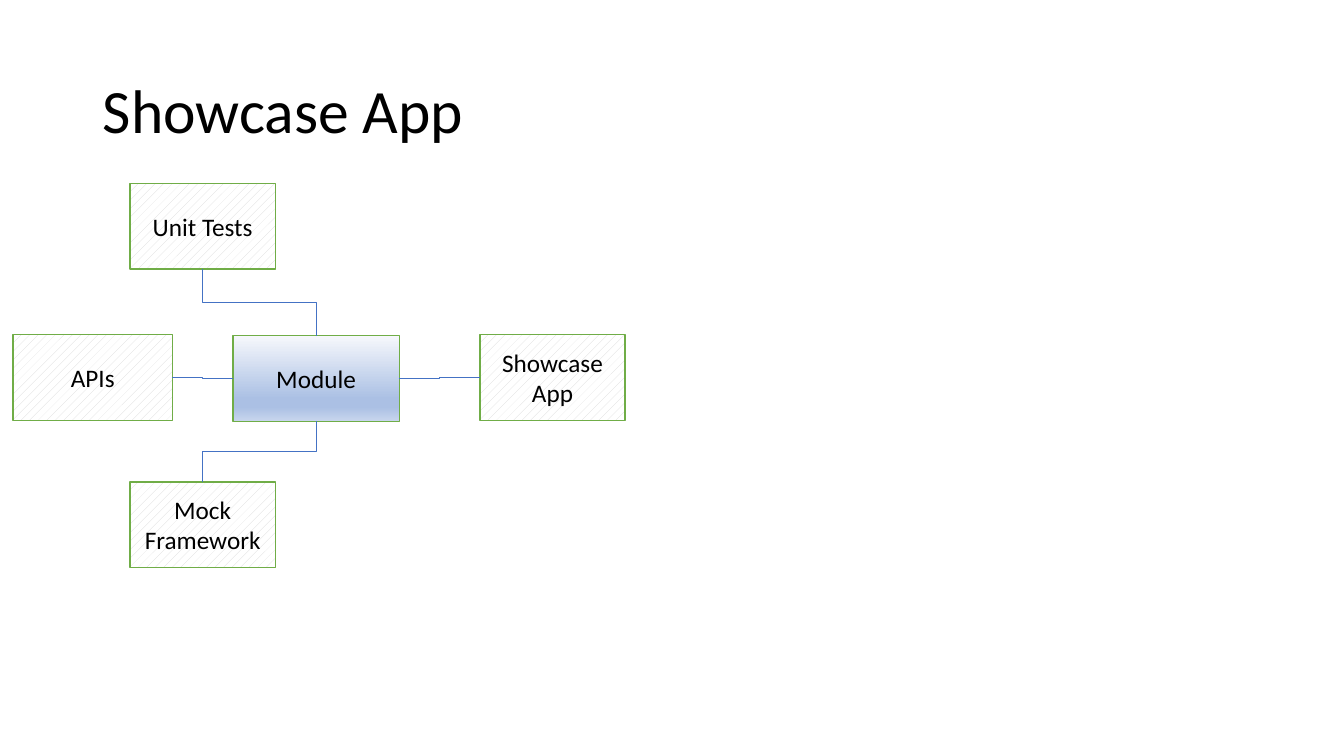
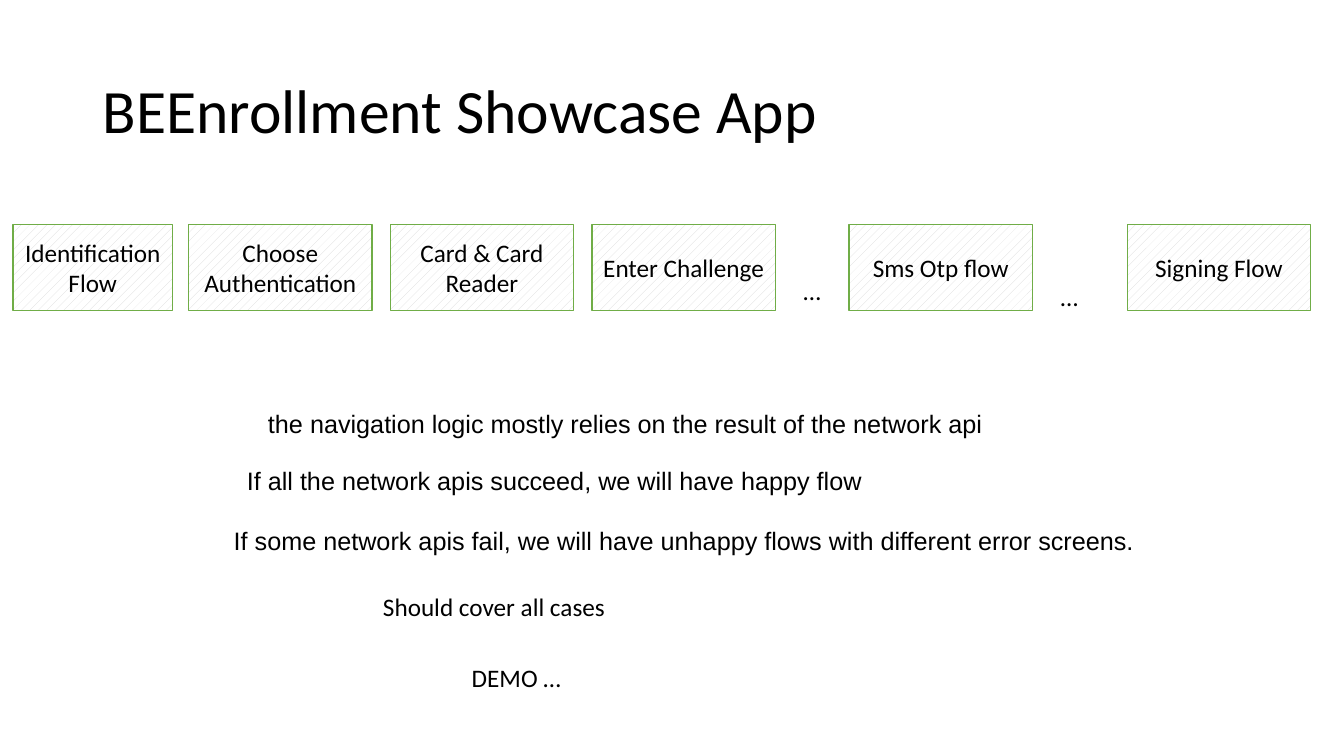
from dataclasses import dataclass

from lxml import etree
from pptx import Presentation
from pptx.dml.color import RGBColor
from pptx.enum.dml import MSO_PATTERN
from pptx.enum.shapes import MSO_CONNECTOR, MSO_SHAPE
from pptx.enum.text import MSO_ANCHOR, MSO_AUTO_SIZE, PP_ALIGN
from pptx.oxml.ns import qn
from pptx.presentation import Presentation as Deck
from pptx.shapes.autoshape import Shape
from pptx.slide import Slide
from pptx.text.text import TextFrame
from pptx.util import Emu, Pt

RECTANGLE = MSO_SHAPE.RECTANGLE
ELBOW = MSO_CONNECTOR.ELBOW
DOTTED = MSO_PATTERN.PERCENT_20
MIDDLE, TOP_ANCHOR = MSO_ANCHOR.MIDDLE, MSO_ANCHOR.TOP
LEFT_ALIGN, CENTER_ALIGN = PP_ALIGN.LEFT, PP_ALIGN.CENTER
NO_FIT, GROW = MSO_AUTO_SIZE.NONE, MSO_AUTO_SIZE.SHAPE_TO_FIT_TEXT
TOP, LEFT, BOTTOM, RIGHT = range(4)

EMU_PER_PX = 9144
TITLE_ONLY = 5
BODY_FONT, NOTE_FONT = "Calibri", "Arial"
BLACK, WHITE, GRAY = "000000", "FFFFFF", "D9D9D9"
GREEN, BLUE = "70AD47", "4472C4"
MODULE_STOPS = ((0, "F6F8FC"), (74, "ABC0E4"), (83, "ABC0E4"), (100, "C7D5ED"))
BOX_HEIGHT = 85
FLOW_TOP, FLOW_WIDTH, FLOW_GAP = 223, 182, 18
FLOW_LEFT = 187
FLOW_STEP = FLOW_WIDTH + FLOW_GAP


@dataclass(frozen=True)
class Box:
    text: str
    left: int
    top: int
    width: int
    gradient: bool = False


@dataclass(frozen=True)
class Link:
    start: str
    start_site: int
    end: str
    end_site: int


@dataclass(frozen=True)
class Note:
    text: str
    left: int
    top: int
    width: int
    font: str = BODY_FONT


MODULE_BOXES = (
    Box("Module", 231, 333, 165, gradient=True),
    Box("APIs", 13, 332, 158),
    Box("Unit Tests", 129, 182, 144),
    Box("Mock Framework", 129, 478, 144),
    Box("Showcase App", 476, 332, 144),
)
MODULE_LINKS = (
    Link("APIs", RIGHT, "Module", LEFT),
    Link("Module", TOP, "Unit Tests", BOTTOM),
    Link("Module", BOTTOM, "Mock Framework", TOP),
    Link("Module", RIGHT, "Showcase App", LEFT),
)
FIRST_STEPS = ("Choose Authentication", "Card & Card Reader", "Enter Challenge")
FLOW_BOXES = (
    Box("Identification Flow", 13, FLOW_TOP, 158),
    *(
        Box(text, FLOW_LEFT + index * FLOW_STEP, FLOW_TOP, FLOW_WIDTH)
        for index, text in enumerate(FIRST_STEPS)
    ),
    Box("Sms Otp flow", 842, FLOW_TOP, FLOW_WIDTH),
    Box("Signing Flow", 1118, FLOW_TOP, FLOW_WIDTH),
)
FLOW_NOTES = (
    Note("…", 787, 268, 38),
    Note("…", 1042, 274, 38),
    Note("the navigation logic mostly relies on the result of the network api",
         256, 400, 744, NOTE_FONT),
    Note("If all the network apis succeed, we will have happy flow",
         235, 457, 643, NOTE_FONT),
    Note("If some network apis fail, we will have unhappy flows with different error screens.",
         222, 516, 930, NOTE_FONT),
    Note("Should cover all cases", 370, 582, 251),
    Note("DEMO …", 458, 652, 111),
)


def px(length: int) -> Emu:
    return Emu(length * EMU_PER_PX)


def color(value: str) -> RGBColor:
    return RGBColor.from_string(value)


def write(frame: TextFrame, text: str, size: int, font: str, alignment, anchor) -> None:
    frame.vertical_anchor = anchor
    paragraph = frame.paragraphs[0]
    paragraph.alignment = alignment
    run = paragraph.add_run()
    run.text = text
    run.font.size = Pt(size)
    run.font.name = font
    run.font.color.rgb = color(BLACK)


def add_titled_slide(presentation: Deck, text: str) -> Slide:
    slide = presentation.slides.add_slide(presentation.slide_layouts[TITLE_ONLY])
    title = slide.shapes.title
    title.left, title.top, title.width, title.height = map(px, (92, 40, 1150, 145))
    title.text_frame.auto_size = NO_FIT
    write(title.text_frame, text, 44, BODY_FONT, LEFT_ALIGN, MIDDLE)
    title.text_frame.paragraphs[0].line_spacing = 0.9
    return slide


def fill_gradient(shape: Shape) -> None:
    shape.fill.gradient()
    shape.fill.gradient_angle = 270
    stops = shape._element.spPr.find(qn("a:gradFill")).find(qn("a:gsLst"))
    for stop in list(stops):
        stops.remove(stop)
    for position, value in MODULE_STOPS:
        stop = etree.SubElement(stops, qn("a:gs"), pos=str(position * 1000))
        etree.SubElement(stop, qn("a:srgbClr"), val=value)


def fill_pattern(shape: Shape) -> None:
    shape.fill.patterned()
    shape.fill.pattern = DOTTED
    shape.fill.fore_color.rgb = color(GRAY)
    shape.fill.back_color.rgb = color(WHITE)


def add_box(slide: Slide, box: Box) -> Shape:
    shape = slide.shapes.add_shape(
        RECTANGLE, px(box.left), px(box.top), px(box.width), px(BOX_HEIGHT))
    shape.shadow.inherit = False
    if box.gradient:
        fill_gradient(shape)
    else:
        fill_pattern(shape)
    shape.line.color.rgb = color(GREEN)
    shape.line.width = Pt(1)
    shape.text_frame.word_wrap = True
    write(shape.text_frame, box.text, 18, BODY_FONT, CENTER_ALIGN, MIDDLE)
    return shape


def add_link(slide: Slide, link: Link, shapes: dict[str, Shape]) -> None:
    connector = slide.shapes.add_connector(ELBOW, 0, 0, 0, 0)
    connector.begin_connect(shapes[link.start], link.start_site)
    connector.end_connect(shapes[link.end], link.end_site)
    connector.line.color.rgb = color(BLUE)
    connector.line.width = Pt(0.5)
    properties = connector._element.spPr
    if link.start_site in (TOP, BOTTOM):
        across = connector.end_x - connector.begin_x
        down = connector.end_y - connector.begin_y
        center_x = (connector.begin_x + connector.end_x) // 2
        center_y = (connector.begin_y + connector.end_y) // 2
        connector.width, connector.height = abs(down), abs(across)
        connector.left = center_x - abs(down) // 2
        connector.top = center_y - abs(across) // 2
        transform = properties.find(qn("a:xfrm"))
        transform.set("rot", str((90 if down > 0 else 270) * 60000))
        transform.set("flipH", "0")
        transform.set("flipV", "1" if (across < 0) == (down < 0) else "0")
    etree.SubElement(properties, qn("a:effectLst"))


def add_note(slide: Slide, note: Note) -> None:
    text_box = slide.shapes.add_textbox(
        px(note.left), px(note.top), px(note.width), px(40))
    frame = text_box.text_frame
    frame.word_wrap = False
    frame.auto_size = GROW
    write(frame, note.text, 18, note.font, LEFT_ALIGN, TOP_ANCHOR)


def build_module_slide(presentation: Deck) -> None:
    slide = add_titled_slide(presentation, "Showcase App")
    shapes = {box.text: add_box(slide, box) for box in MODULE_BOXES}
    for link in MODULE_LINKS:
        add_link(slide, link, shapes)


def build_flow_slide(presentation: Deck) -> None:
    slide = add_titled_slide(presentation, "BEEnrollment Showcase App")
    for box in FLOW_BOXES:
        add_box(slide, box)
    for note in FLOW_NOTES:
        add_note(slide, note)


def main() -> None:
    presentation = Presentation()
    presentation.slide_width = px(1333)
    presentation.slide_height = px(750)
    build_module_slide(presentation)
    build_flow_slide(presentation)
    presentation.save("out.pptx")


if __name__ == "__main__":
    main()
